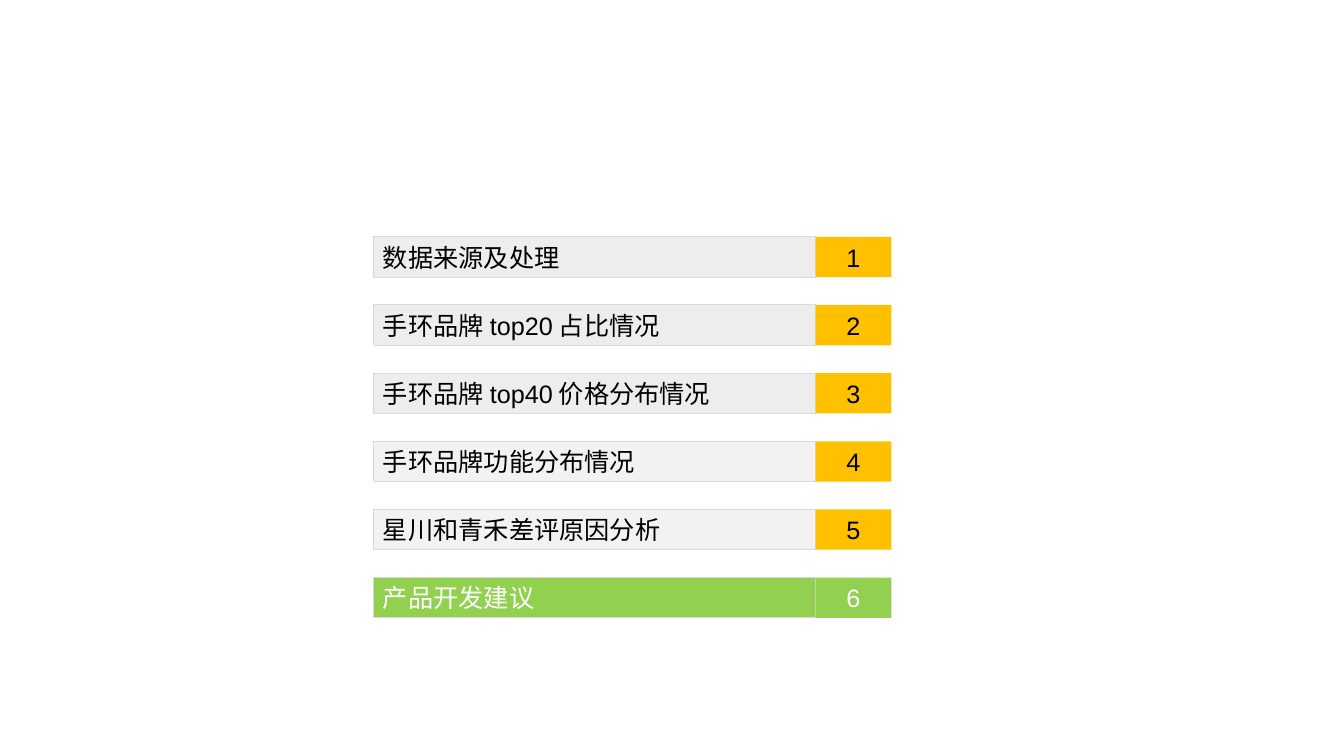
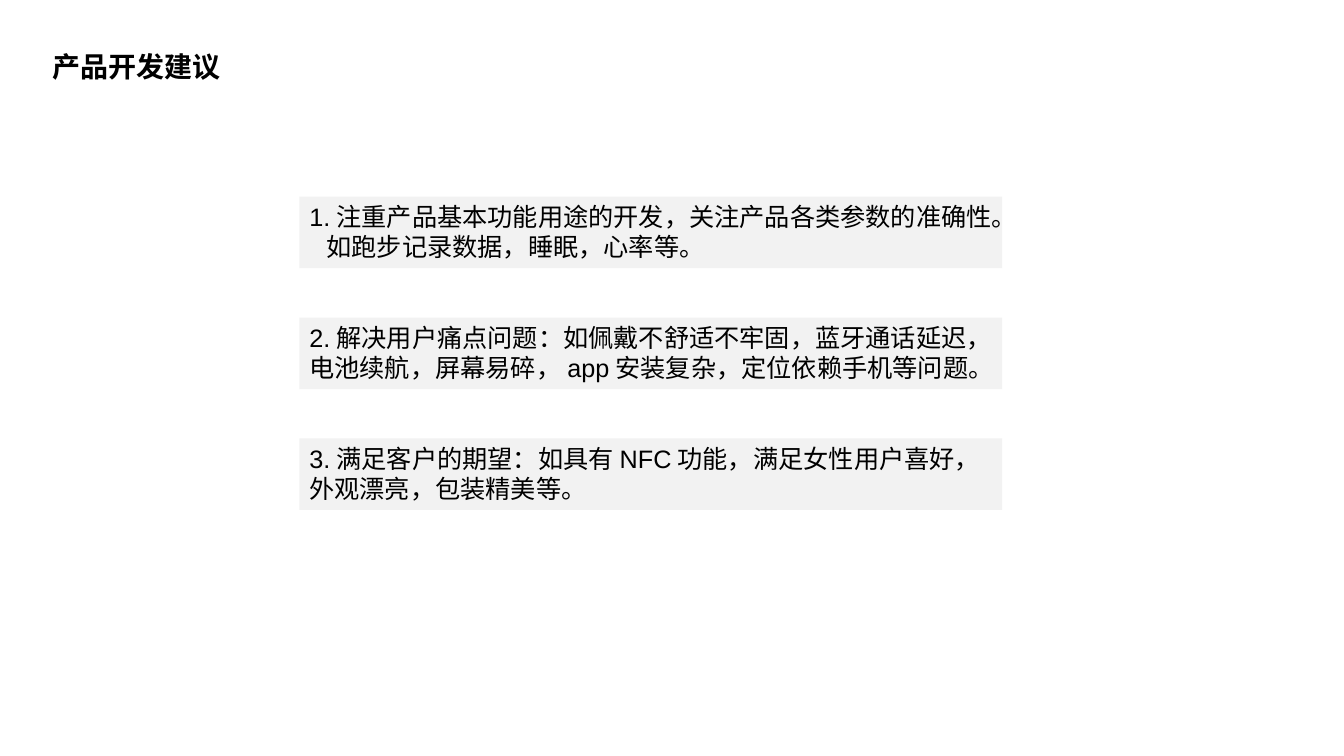
"""Build the agenda slide and the product suggestions slide."""
from dataclasses import dataclass

from pptx import Presentation
from pptx.dml.color import RGBColor as Color
from pptx.enum.text import MSO_AUTO_SIZE as AutoSize, PP_ALIGN as Align
from pptx.util import Inches, Pt

AGENDA = [
    "数据来源及处理",
    "手环品牌top20占比情况",
    "手环品牌top40价格分布情况",
    "手环品牌功能分布情况",
    "星川和青禾差评原因分析",
    "产品开发建议",
]
CURRENT = len(AGENDA) - 1
SUGGESTIONS = [
    ["1.注重产品基本功能用途的开发，关注产品各类参数的准确性。", "如跑步记录数据，睡眠，心率等。"],
    ["2.解决用户痛点问题：如佩戴不舒适不牢固，蓝牙通话延迟，电池续航，屏幕易碎，app安装复杂，定位依赖手机等问题。"],
    ["3.满足客户的期望：如具有NFC功能，满足女性用户喜好，外观漂亮，包装精美等。"],
]


@dataclass(frozen=True)
class Theme:
    """Colours, type and slide size shared by both slides."""

    width: float = 13.33
    height: float = 7.5
    font: str = "Arial"
    body: int = 18
    title: int = 20
    text: str = "000000"
    inverse: str = "FFFFFF"
    panel: str = "F2F2F2"
    early_panel: str = "EDEDED"
    border: str = "D9D9D9"
    number: str = "FFC000"
    current: str = "92D050"


THEME = Theme()


def add_box(page, area, lines, fill=None, border=None, color=THEME.text,
            size=THEME.body, bold=False, align=Align.LEFT, indent=0.17):
    """Add a text panel whose lines after the first are indented."""
    box = page.shapes.add_textbox(*map(Inches, area))
    if fill:
        box.fill.solid()
        box.fill.fore_color.rgb = Color.from_string(fill)
    if border:
        box.line.color.rgb = Color.from_string(border)
        box.line.width = Pt(0.75)
    frame = box.text_frame
    frame.word_wrap = True
    frame.auto_size = AutoSize.SHAPE_TO_FIT_TEXT
    for index, line in enumerate(lines):
        para = frame.add_paragraph() if index else frame.paragraphs[0]
        para.alignment = align
        if index:
            para._p.get_or_add_pPr().set("marL", str(Inches(indent)))
        span = para.add_run()
        span.text = line
        span.font.name = THEME.font
        span.font.size = Pt(size)
        span.font.bold = bold
        span.font.color.rgb = Color.from_string(color)


def build_agenda(page):
    """Stack the numbered topics and highlight the current one."""
    left, label_width, number_width, height = 3.7, 4.39, 0.75, 0.4
    first, last = 2.35, 5.73
    pitch = (last - first) / (len(AGENDA) - 1)
    for index, topic in enumerate(AGENDA):
        top = first + index * pitch
        panel = THEME.early_panel if index < 3 else THEME.panel
        number, color = THEME.number, THEME.text
        if index == CURRENT:
            panel = number = THEME.current
            color = THEME.inverse
        add_box(page, (left, top, label_width, height), [topic],
                panel, THEME.border, color)
        add_box(page, (left + label_width, top, number_width, height),
                [str(index + 1)], number, color=color, align=Align.CENTER)


def build_suggestions(page):
    """Place the title and the evenly spaced suggestion panels."""
    left, top, width, height, pitch = 2.97, 1.95, 6.97, 0.71, 1.2
    for index, lines in enumerate(SUGGESTIONS):
        add_box(page, (left, top + index * pitch, width, height), lines, THEME.panel)
    add_box(page, (0.42, 0.44, 5.65, 0.44), [AGENDA[CURRENT]],
            size=THEME.title, bold=True)


def main():
    """Create and save the deck."""
    deck = Presentation()
    deck.slide_width, deck.slide_height = Inches(THEME.width), Inches(THEME.height)
    for build in (build_agenda, build_suggestions):
        build(deck.slides.add_slide(deck.slide_layouts[6]))
    deck.save("out.pptx")


if __name__ == "__main__":
    main()
